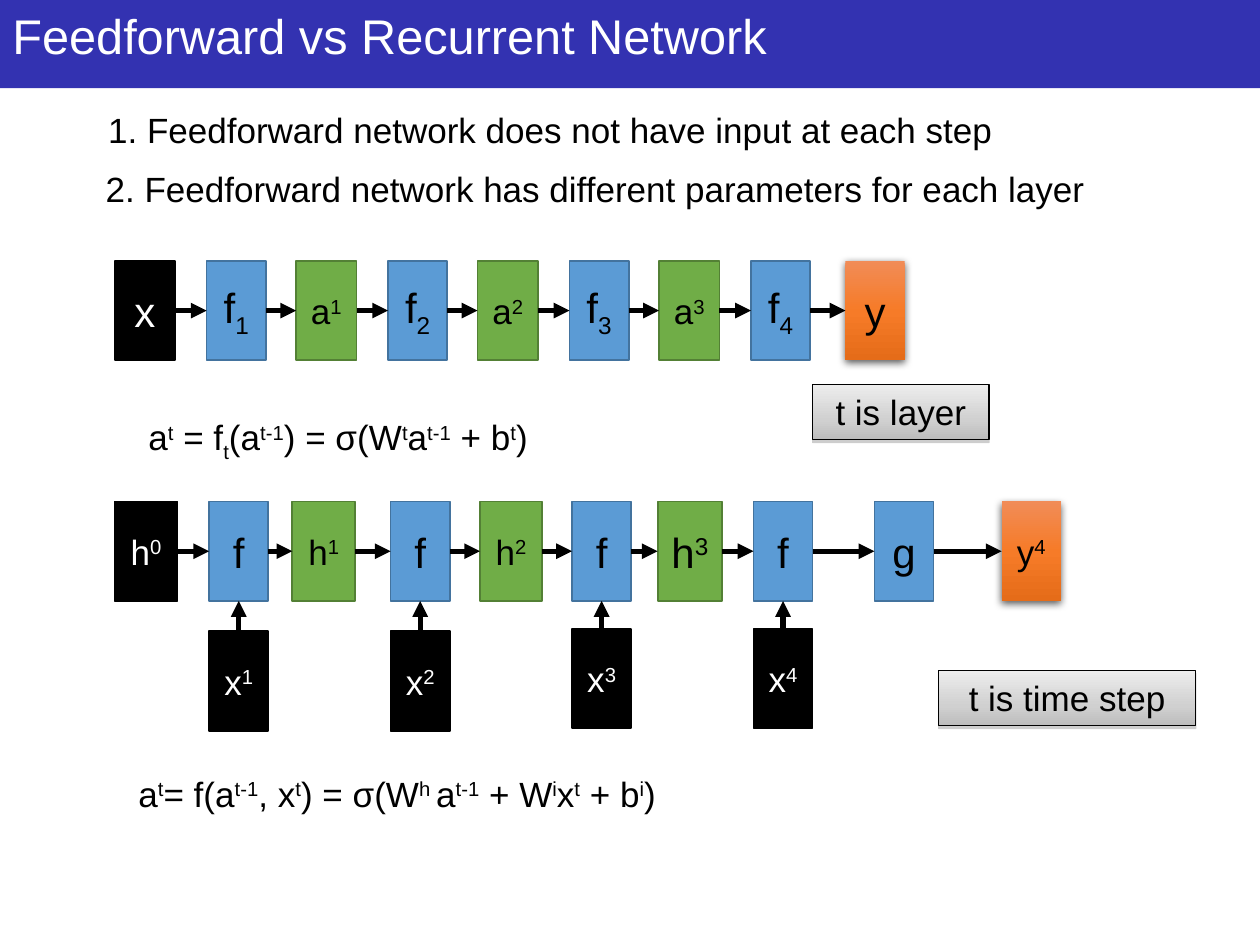
from copy import deepcopy

from lxml import etree
from pptx import Presentation
from pptx.dml.color import RGBColor
from pptx.enum.shapes import MSO_CONNECTOR, MSO_SHAPE
from pptx.enum.text import MSO_ANCHOR, MSO_AUTO_SIZE, PP_ALIGN
from pptx.oxml.ns import qn
from pptx.util import Inches, Pt

RECTANGLE = MSO_SHAPE.RECTANGLE
STRAIGHT = MSO_CONNECTOR.STRAIGHT
TOP, MIDDLE = MSO_ANCHOR.TOP, MSO_ANCHOR.MIDDLE
LEFT, CENTER = PP_ALIGN.LEFT, PP_ALIGN.CENTER
NO_FIT, GROW = MSO_AUTO_SIZE.NONE, MSO_AUTO_SIZE.SHAPE_TO_FIT_TEXT
TOP_SIDE, LEFT_SIDE, BOTTOM_SIDE, RIGHT_SIDE = range(4)

COLORS = {
    "banner": "3332B1",
    "black": "000000",
    "white": "FFFFFF",
    "blue": "5B9BD5",
    "blue edge": "43739E",
    "green": "70AD47",
    "green edge": "538035",
    "gray": "808080",
}
ORANGE_STOPS = [(0, "F18C57"), (0.5, "F67B28"), (1, "E56C19")]
GRAY_STOPS = [(0, "EDEDED"), (0.65, "D0D0D0"), (1, "BCBCBC")]
BASELINES = {"^": "30000", "_": "-25000"}
BLOCK_HEIGHT = 0.79
STEP = 1.44


class NetworkSlide:
    """Draws the elements of a network diagram on one slide in a shared style."""

    def __init__(self, page, font_name="Arial"):
        self.page = page
        self.font_name = font_name

    def add_spans(self, box, text, size, color, frame_format, align):
        frame = box.text_frame
        for name, value in frame_format.items():
            setattr(frame, name, value)
        para = frame.paragraphs[0]
        para.alignment = align
        for piece in text.split("|"):
            span = para.add_run()
            span.text = piece.lstrip("^_")
            for name, value in {"name": self.font_name, "size": Pt(size)}.items():
                setattr(span.font, name, value)
            span.font.color.rgb = RGBColor.from_string(COLORS[color])
            if piece[0] in BASELINES:
                span.font._element.set("baseline", BASELINES[piece[0]])

    def text(self, place, text, size=20, color="black", wrap=True):
        box = self.page.shapes.add_textbox(*map(Inches, place))
        frame_format = {"word_wrap": wrap, "auto_size": GROW}
        self.add_spans(box, text, size, color, frame_format, LEFT)
        return box

    def rectangle(self, place, fill=None, edge=None, width=1):
        box = self.page.shapes.add_shape(RECTANGLE, *map(Inches, place))
        box.shadow.inherit = False
        if fill:
            box.fill.solid()
            box.fill.fore_color.rgb = RGBColor.from_string(COLORS[fill])
        if edge:
            box.line.width = Pt(width)
            box.line.color.rgb = RGBColor.from_string(COLORS[edge])
        else:
            box.line.fill.background()
        return box

    def block(self, left, top, width, text, size, fill, edge, color="black"):
        box = self.rectangle((left, top, width, BLOCK_HEIGHT), fill, edge)
        frame_format = {"word_wrap": False, "auto_size": NO_FIT, "vertical_anchor": MIDDLE}
        self.add_spans(box, text, size, color, frame_format, CENTER)
        return box

    def signal(self, left, top, width, text, size=20):
        return self.block(left, top, width, text, size, "black", "black", "white")

    def function(self, left, top, text):
        return self.block(left, top, 0.47, text, 24, "blue", "blue edge")

    def state(self, left, top, width, text, size=20):
        return self.block(left, top, width, text, size, "green", "green edge")

    def output(self, left, top, text, size):
        box = self.block(left, top, 0.47, text, size, None, None)
        self.gradient(box, ORANGE_STOPS)
        self.shadow(box, "black", 63, 4.5, 1.5)
        return box

    def label(self, place, text):
        box = self.rectangle(place, None, "black", 0.75)
        self.gradient(box, GRAY_STOPS)
        self.shadow(box, "gray", 38, 0, 1.6)
        frame_format = {"word_wrap": True, "auto_size": GROW, "vertical_anchor": TOP}
        self.add_spans(box, text, 20, "black", frame_format, CENTER)

    def gradient(self, box, stops):
        box.fill.gradient()
        box.fill.gradient_angle = 270
        stop_list = next(box._element.spPr.iter(qn("a:gsLst")))
        stop_list.append(deepcopy(stop_list[-1]))
        for stop, (position, color) in zip(box.fill.gradient_stops, stops):
            stop.position = position
            stop.color.rgb = RGBColor.from_string(color)

    def shadow(self, box, color, opacity, blur, distance):
        effects = box._element.spPr.find(qn("a:effectLst"))
        outer = etree.SubElement(
            effects, qn("a:outerShdw"), blurRad=str(Pt(blur)), dist=str(Pt(distance)),
            dir="5400000", algn="t", rotWithShape="0")
        tone = etree.SubElement(outer, qn("a:srgbClr"), val=COLORS[color])
        etree.SubElement(tone, qn("a:alpha"), val=str(opacity * 1000))

    def arrow(self, source, target, source_side=RIGHT_SIDE, target_side=LEFT_SIDE):
        line = self.page.shapes.add_connector(STRAIGHT, 0, 0, 0, 0)
        line.begin_connect(source, source_side)
        line.end_connect(target, target_side)
        line.line.width = Pt(3)
        line.line.color.rgb = RGBColor.from_string(COLORS["black"])
        etree.SubElement(line.line._get_or_add_ln(), qn("a:tailEnd"), type="triangle")
        etree.SubElement(line._element.spPr, qn("a:effectLst"))

    def chain(self, blocks):
        for source, target in zip(blocks, blocks[1:]):
            self.arrow(source, target)

    def banner(self, text):
        bar = self.rectangle((0, 0, 10, 0.7), "banner")
        title = self.text((0, 0, 10, 0.57), text, 27.8, "white")
        self.page.shapes.add_group_shape([bar, title])


def draw_feedforward(slide, top=2.07):
    blocks = [slide.signal(0.91, top, 0.48, "x", 24)]
    for layer in range(1, 5):
        offset = STEP * (layer - 1)
        blocks.append(slide.function(1.64 + offset, top, f"f|_{layer}"))
        if layer < 4:
            blocks.append(slide.state(2.35 + offset, top, 0.48, f"a|^{layer}"))
    blocks.append(slide.output(6.71, top, "y", 24))
    slide.chain(blocks)


def draw_recurrent(slide, top=3.98):
    states = [(2.32, 0.5, 20), (3.81, 0.49, 20), (5.22, 0.51, 24)]
    signal_tops = [5.01, 5.01, 4.99, 4.99]
    blocks = [slide.signal(0.91, top, 0.5, "h|^0")]
    for step, signal_top in enumerate(signal_tops, 1):
        left = 1.66 + STEP * (step - 1)
        function = slide.function(left, top, "f")
        blocks.append(function)
        signal = slide.signal(left, signal_top, 0.47, f"x|^{step}")
        slide.arrow(signal, function, TOP_SIDE, BOTTOM_SIDE)
        if step <= len(states):
            state_left, width, size = states[step - 1]
            blocks.append(slide.state(state_left, top, width, f"h|^{step}", size))
    blocks.append(slide.function(6.94, top, "g"))
    blocks.append(slide.output(7.95, top, "y|^4", 20))
    slide.chain(blocks)


def main():
    deck = Presentation()
    deck.slide_width, deck.slide_height = Inches(10), Inches(7.5)
    slide = NetworkSlide(deck.slides.add_slide(deck.slide_layouts[6]))
    slide.banner("Feedforward vs Recurrent Network")
    draw_feedforward(slide)
    draw_recurrent(slide)
    slide.label((6.45, 3.05, 1.4, 0.44), "t is layer")
    slide.label((7.45, 5.32, 2.04, 0.44), "t is time step")
    slide.text((0.76, 0.81, 8.83, 0.44),
               "1. Feedforward network does not have input at each step")
    slide.text((0.74, 1.28, 8.95, 0.44),
               "2. Feedforward network has different parameters for each layer")
    slide.text((1.08, 3.25, 3.31, 0.44),
               "a|^t| = f|_t|(a|^t-1|) = σ(W|^t|a|^t-1| + b|^t|)", wrap=False)
    slide.text((1, 6.08, 4.45, 0.44),
               "a|^t|= f(a|^t-1|, x|^t|) = σ(W|^h |a|^t-1| + W|^i|x|^t| + b|^i|)", wrap=False)
    deck.save("out.pptx")


if __name__ == "__main__":
    main()
